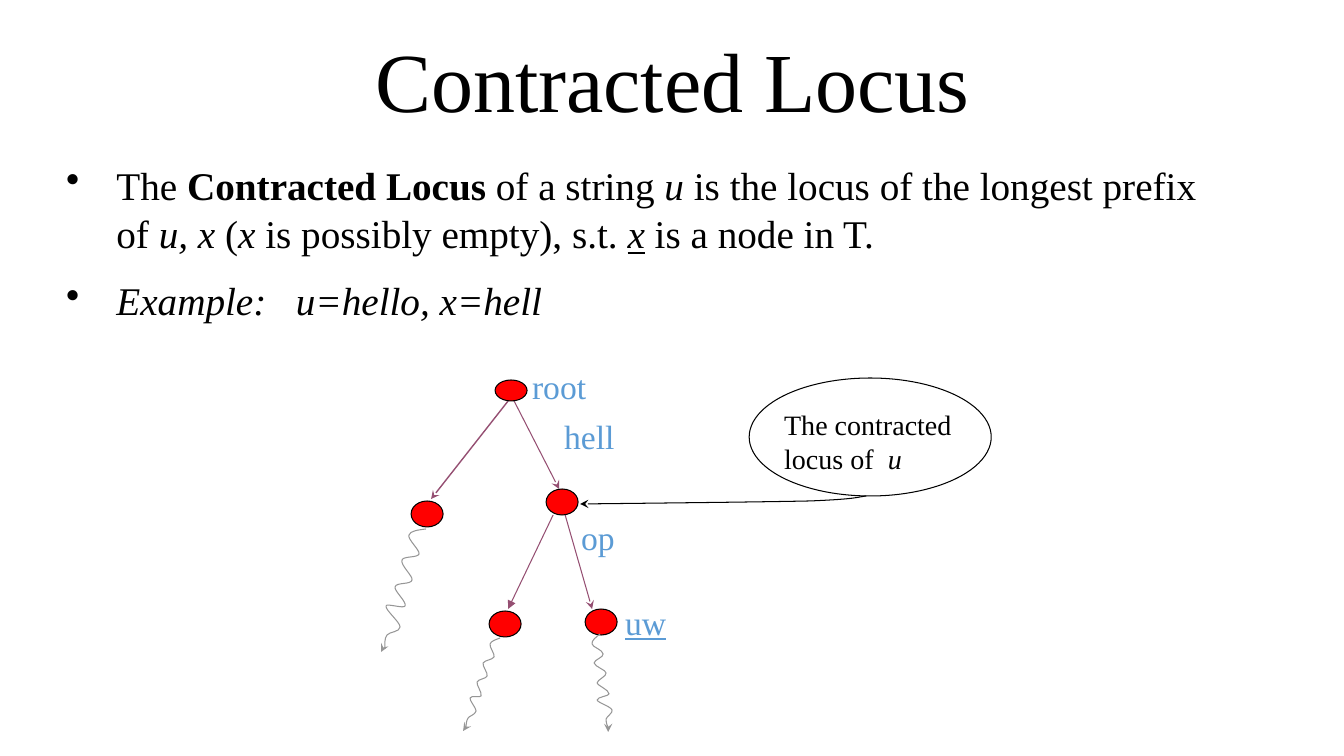
from dataclasses import dataclass
from lxml import etree
from pptx import Presentation
from pptx import util as u
from pptx.dml import color
from pptx.enum import shapes, text
from pptx.oxml import ns


@dataclass(frozen=True)
class Theme:
    font: str = "Times New Roman"
    ink: str = "000000"
    node: str = "FF0000"
    label: str = "5B9BD5"
    edge: str = "954F72"
    wave: str = "969696"
    title_size: int = 60
    body_size: int = 28
    label_size: int = 24
    callout_size: int = 20
    thin: float = 0.75
    thick: float = 1.75


class Sketch:
    scale = 914400 / 100.8

    def __init__(self, deck, theme):
        self.theme = theme
        self.page = deck.slides.add_slide(deck.slide_layouts[6])

    def px(self, *lengths):
        return [u.Emu(round(length * self.scale)) for length in lengths]

    def stroke(self, item, tint, width):
        item.line.color.rgb = color.RGBColor.from_string(tint)
        item.line.width = u.Pt(width)

    def arrowhead(self, item, end, kind):
        line = item._element.spPr.find(ns.qn("a:ln"))
        etree.SubElement(line, ns.qn(f"a:{end}"), type=kind)

    def text(self, area, paragraphs, size, tint, inset=True, bullets=False,
             center=False, bottom=False):
        box = self.page.shapes.add_textbox(*self.px(*area))
        frame = box.text_frame
        frame.word_wrap = True
        if bottom:
            frame.vertical_anchor = text.MSO_ANCHOR.BOTTOM
        if inset:
            frame.auto_size = text.MSO_AUTO_SIZE.SHAPE_TO_FIT_TEXT
        else:
            frame.margin_left = frame.margin_right = 0
            frame.margin_top = frame.margin_bottom = 0
        for index, spans in enumerate(paragraphs):
            para = frame.add_paragraph() if index else frame.paragraphs[0]
            if bullets:
                self.bullet(para)
                para.line_spacing = 1.04
            if index:
                para.space_before = u.Pt(12.8)
            if center:
                para.alignment = text.PP_ALIGN.CENTER
            for words, *looks in spans:
                self.span(para, words, size, tint, *looks)

    def bullet(self, para):
        properties = para._p.get_or_add_pPr()
        indent = u.Inches(0.5)
        properties.set("marL", str(indent))
        properties.set("indent", str(-indent))
        etree.SubElement(properties, ns.qn("a:buChar"), char="•")

    def span(self, para, words, size, tint, style="", gap=0):
        span = para.add_run()
        span.text = words
        font = span.font
        font.name = self.theme.font
        font.size = u.Pt(size)
        font.color.rgb = color.RGBColor.from_string(tint)
        font.bold = "b" in style
        font.italic = "i" in style
        font.underline = "u" in style
        if gap:
            span._r.get_or_add_rPr().set("spc", str(gap * 100))

    def ellipse(self, area, fill=None):
        oval = self.page.shapes.add_shape(shapes.MSO_SHAPE.OVAL, *self.px(*area))
        oval.shadow.inherit = False
        if fill:
            oval.fill.solid()
            oval.fill.fore_color.rgb = color.RGBColor.from_string(fill)
        else:
            oval.fill.background()
        self.stroke(oval, self.theme.ink, self.theme.thin)

    def arrow(self, ends, tint, width, kind="stealth"):
        arrow = self.page.shapes.add_connector(
            shapes.MSO_CONNECTOR.STRAIGHT, *self.px(*ends))
        self.stroke(arrow, tint, width)
        self.arrowhead(arrow, "tailEnd", kind)
        etree.SubElement(arrow._element.spPr, ns.qn("a:effectLst"))

    def curve(self, points, tint):
        builder = self.page.shapes.build_freeform(*points[0], scale=self.scale)
        builder.add_line_segments(points[1:], close=False)
        curve = builder.convert_to_shape()
        outline = curve._element.find(".//" + ns.qn("a:path"))
        for index, step in enumerate(outline.findall(ns.qn("a:lnTo"))):
            if index % 3 == 0:
                bezier = etree.SubElement(outline, ns.qn("a:cubicBezTo"))
            bezier.append(step[0])
            outline.remove(step)
        curve.shadow.inherit = False
        curve.fill.background()
        self.stroke(curve, tint, self.theme.thin)
        return curve


TITLE = "Contracted Locus"
BODY = [
    [("The ",), ("Contracted Locus", "b"), (" of a string ",), ("u ", "i"),
     ("is the locus of the longest prefix of ",), ("u, x ", "i"), ("(",),
     ("x", "i"), (" is possibly empty), s.t. ",), ("x", "iu"),
     (" is a node in T.",)],
    [("Example:", "i"), (" ", "i", 14), ("u=hello, x=hell", "i")],
]
CALLOUT = [("The contracted locus of",), (" ", "", 5), ("u", "i")]

NODES = [(495, 380, 21), (546, 489, 26), (585, 609, 26), (489, 611, 26),
         (411, 501, 26)]
EDGES = [
    ((514, 401, 559, 489), 0.75, "stealth"),
    ((565, 515, 592, 609), 0.75, "stealth"),
    ((553, 515, 508, 609), 0.75, "triangle"),
    ((508, 401, 431, 499), 1, "stealth"),
]
LABELS = [
    ("root", "", (522, 361, 115, 50)),
    ("hell", "", (554, 411, 93, 50)),
    ("op", "", (571, 512, 93, 50)),
    ("uw", "u", (615, 597, 84, 50)),
]
CALLOUT_TAIL = [(580, 504), (671, 503), (763, 502), (810, 501),
                (859, 499), (857, 497), (866, 496)]
WAVES = [
    ([(600, 634), (596, 637), (591, 641), (592, 644), (592, 647), (603, 650),
      (603, 654), (604, 657), (594, 660), (594, 663), (595, 667), (606, 670),
      (606, 673), (607, 676), (597, 680), (597, 683), (598, 686), (609, 690),
      (609, 694), (609, 696), (597, 697), (597, 700), (598, 703), (610, 706),
      (612, 710), (613, 713), (607, 716), (606, 719), (606, 723), (607, 726),
      (609, 729)], (608, 729, 608, 732)),
    ([(500, 638), (495, 640), (491, 641), (490, 644), (489, 647), (495, 654),
      (494, 657), (492, 660), (485, 660), (483, 663), (482, 666), (488, 673),
      (487, 676), (486, 679), (478, 679), (477, 682), (476, 685), (482, 692),
      (481, 696), (480, 698), (471, 695), (470, 698), (469, 700), (476, 708),
      (476, 711), (475, 715), (469, 716), (468, 718), (466, 721), (466, 725),
      (466, 728)], (465, 728, 463, 731)),
    ([(426, 529), (418, 530), (410, 531), (409, 535), (407, 539), (420, 550),
      (419, 554), (418, 558), (403, 556), (402, 560), (400, 565), (413, 576),
      (412, 580), (411, 585), (396, 582), (395, 587), (394, 591), (407, 602),
      (405, 606), (404, 609), (386, 603), (386, 606), (385, 610), (400, 622),
      (400, 627), (400, 632), (389, 632), (387, 635), (384, 639), (385, 644),
      (385, 649)], (383, 648, 381, 652)),
]


def main():
    deck = Presentation()
    deck.slide_width, deck.slide_height = u.Inches(13.33), u.Inches(7.5)
    theme = Theme()
    sketch = Sketch(deck, theme)
    sketch.text((244, 45, 857, 84), [[(TITLE,)]], theme.title_size, theme.ink,
                inset=False, center=True, bottom=True)
    sketch.text((66, 159, 1164, 252), BODY, theme.body_size, theme.ink,
                inset=False, bullets=True)
    for ends, width, kind in EDGES:
        sketch.arrow(ends, theme.edge, width, kind)
    for left, top, height in NODES:
        sketch.ellipse((left, top, 32, height), theme.node)
    for words, style, area in LABELS:
        sketch.text(area, [[(words, style)]], theme.label_size, theme.label)
    tail = sketch.curve(CALLOUT_TAIL, theme.ink)
    sketch.arrowhead(tail, "headEnd", "stealth")
    sketch.text((774, 403, 201, 78), [CALLOUT], theme.callout_size, theme.ink)
    sketch.ellipse((749, 378, 242, 118))
    for points, tip in WAVES:
        sketch.curve(points, theme.wave)
        sketch.arrow(tip, theme.wave, theme.thick)
    deck.save("out.pptx")


if __name__ == "__main__":
    main()
